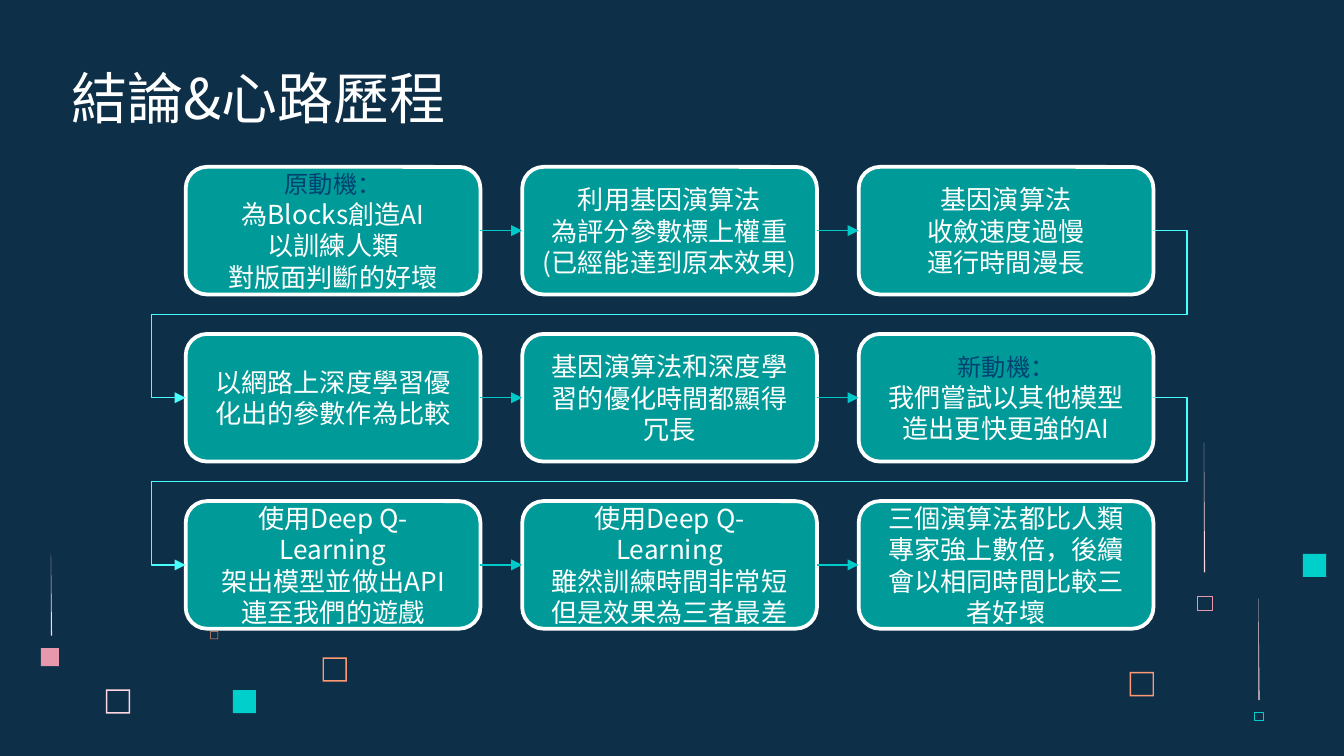
from lxml import etree
from pptx import Presentation
from pptx.dml.color import RGBColor
from pptx.enum import shapes, text
from pptx.oxml.ns import qn
from pptx.util import Pt

FACE = "Noto Sans CJK JP"
KIND = shapes.MSO_SHAPE
WHITE, TEAL, PINK, ORANGE = "FFFFFF", "00CFCC", "FFD6E1", "FF9973"
NAVY, ROSE = "004271", "E898AC"

# Each card: optional heading, then body paragraphs (\v breaks a line)
CARDS = [
    ("原動機：", ["為Blocks創造AI\v以訓練人類\v對版面判斷的好壞"]),
    ("", ["利用基因演算法", "為評分參數標上權重", "(已經能達到原本效果)"]),
    ("", ["基因演算法", "收斂速度過慢\v運行時間漫長"]),
    ("", ["以網路上深度學習優化出的參數作為比較"]),
    ("", ["基因演算法和深度學習的優化時間都顯得冗長"]),
    ("新動機：", ["我們嘗試以其他模型", "造出更快更強的AI"]),
    ("", ["使用Deep Q-Learning", "架出模型並做出API", "連至我們的遊戲"]),
    ("", ["使用Deep Q-Learning", "雖然訓練時間非常短", "但是效果為三者最差"]),
    ("", ["三個演算法都比人類專家強上數倍，後續會以相同時間比較三者好壞"]),
]

# Ornaments: kind, left, top, width, height, fill, line
DECOR = [
    (KIND.FRAME, 56.7, 369.3, 13, 13, PINK, None),
    (KIND.FRAME, 112.7, 338.2, 4.2, 4.2, ORANGE, None),
    (KIND.FRAME, 172.8, 352.2, 13, 13, ORANGE, None),
    (KIND.FRAME, 605.2, 360, 13, 13, ORANGE, None),
    (KIND.RECTANGLE, 124.7, 369.7, 12.4, 12.4, TEAL, None),
    (KIND.RECTANGLE, 698, 296.7, 12.4, 12.4, TEAL, None),
    (KIND.RECTANGLE, 21.9, 347.2, 9.7, 9.7, ROSE, None),
    (KIND.RECTANGLE, 641.5, 319.2, 8, 8, None, ROSE),
    (KIND.RECTANGLE, 672, 381.4, 4.7, 4.7, None, TEAL),
    (KIND.RIGHT_TRIANGLE, 645, 236.9, 0.6, 69.8, PINK, None),
    (KIND.RIGHT_TRIANGLE, 27.3, 296.6, 0.6, 43.9, PINK, None),
    (KIND.RIGHT_TRIANGLE, 674.2, 320.4, 0.6, 54.7, PINK, None),
]


def rgb(code):
    return RGBColor.from_string(code)


def style(para, size, color, align):
    para.alignment = align
    font = para.font
    font.size, font.name = Pt(size), FACE
    font.color.rgb = rgb(color)
    etree.SubElement(font._element.find(qn("a:defRPr")) if font._element.tag == qn("a:pPr")
                     else font._element, qn("a:ea"), typeface=FACE)


def block(slide, kind, box, fill, line, width):
    shape = slide.shapes.add_shape(kind, *map(Pt, box))
    shape.shadow.inherit = False
    if fill:
        shape.fill.solid()
        shape.fill.fore_color.rgb = rgb(fill)
    else:
        shape.fill.background()
    if line:
        shape.line.color.rgb = rgb(line)
        shape.line.width = Pt(width)
    else:
        shape.line.fill.background()
    return shape


def decor(slide, x, y):
    for kind, left, top, wide, high, fill, line in DECOR:
        shape = block(slide, kind, (x + left, y + top, wide, high), fill, line, 0.25)
        if kind == KIND.FRAME:
            shape.adjustments[0] = 0.06


def title(slide, box):
    head = slide.shapes.title
    head.left, head.top, head.width, head.height = map(Pt, box)
    frame = head.text_frame
    frame.text = "結論&心路歷程"
    frame.auto_size = text.MSO_AUTO_SIZE.NONE
    frame.vertical_anchor = text.MSO_ANCHOR.BOTTOM
    frame.margin_left = frame.margin_right = Pt(7.2)
    frame.margin_top = frame.margin_bottom = Pt(7.2)
    style(frame.paragraphs[0], 30, WHITE, text.PP_ALIGN.LEFT)


def card(slide, box, head, body):
    shape = block(slide, KIND.ROUNDED_RECTANGLE, box, "009B99", WHITE, 2)
    frame = shape.text_frame
    frame.word_wrap = True
    frame.vertical_anchor = text.MSO_ANCHOR.MIDDLE
    lines = ([(head, 13, NAVY)] if head else []) + [(part, 14, WHITE) for part in body]
    for i, (words, size, color) in enumerate(lines):
        para = frame.add_paragraph() if i else frame.paragraphs[0]
        para.text = words
        style(para, size, color, text.PP_ALIGN.CENTER)
    return shape


def arrow(slide, start, end, kind, color):
    link = slide.shapes.add_connector(kind, start.left + start.width, start.top,
                                      end.left, end.top)
    link.begin_connect(start, 3)
    link.end_connect(end, 1)
    link.line.color.rgb = rgb(color)
    link.line.width = Pt(0.75)
    etree.SubElement(link.line._get_or_add_ln(), qn("a:tailEnd"), type="triangle")
    props = link._element.spPr
    etree.SubElement(props, qn("a:effectLst"))
    return props


def wrap(slide, start, end):
    # Leads from the end of one row round to the start of the next
    props = arrow(slide, start, end, shapes.MSO_CONNECTOR.ELBOW, "49FFFC")
    geom = props.find(qn("a:prstGeom"))
    geom.set("prst", "bentConnector5")
    guides = geom.find(qn("a:avLst"))
    if guides is None:
        guides = etree.SubElement(geom, qn("a:avLst"))
    for i, value in enumerate((-3500, 50000, 103500), 1):
        etree.SubElement(guides, qn("a:gd"), name=f"adj{i}", fmla=f"val {value}")


def flow(slide, box, cols=3, gap=22.4, drop=21.2):
    left, top, width, height = box
    rows = len(CARDS) // cols
    wide = (width - gap * (cols - 1)) / cols
    high = (height - drop * (rows - 1)) / rows
    cards = []
    for i, (head, body) in enumerate(CARDS):
        row, col = divmod(i, cols)
        spot = (left + col * (wide + gap), top + row * (high + drop), wide, high)
        cards.append(card(slide, spot, head, body))
    for i, (start, end) in enumerate(zip(cards, cards[1:]), 1):
        if i % cols:
            arrow(slide, start, end, shapes.MSO_CONNECTOR.STRAIGHT, "00CAC8")
        else:
            wrap(slide, start, end)


def main():
    deck = Presentation()
    deck.slide_width, deck.slide_height = Pt(720), Pt(405)
    slide = deck.slides.add_slide(deck.slide_layouts[5])
    slide.background.fill.solid()
    slide.background.fill.fore_color.rgb = rgb("0D2F48")
    decor(slide, 0, 0)
    title(slide, (31, 31.7, 525.6, 45.4))
    flow(slide, (99.5, 89.4, 518.4, 247.4))
    deck.save("out.pptx")


if __name__ == "__main__":
    main()
